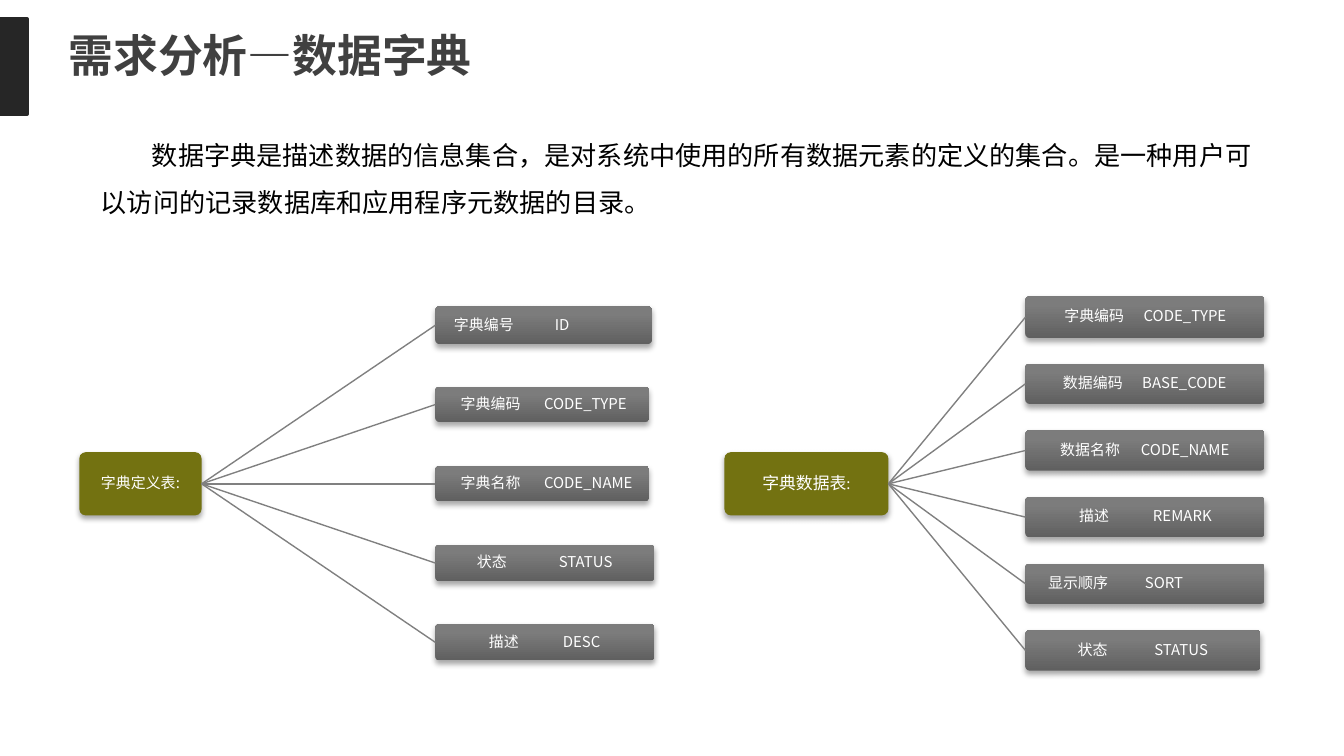
import copy
import pptx
import pptx.dml.color
import pptx.enum.shapes
import pptx.enum.text
import pptx.oxml
import pptx.oxml.ns
import pptx.util

Inches, Pt = pptx.util.Inches, pptx.util.Pt
RGB = pptx.dml.color.RGBColor.from_string
SHAPE = pptx.enum.shapes.MSO_SHAPE
ALIGN = pptx.enum.text.PP_ALIGN
qn = pptx.oxml.ns.qn
NS = pptx.oxml.ns.nsdecls("a")


class Theme:
    font = "Noto Sans CJK SC"
    accent, title, body, white = "262626", "404040", "000000", "FFFFFF"
    root, line = "737211", "808080"
    gradient = [(0, "606060"), (0.8, "7C7C7C"), (1, "7D7D7D")]
    title_size, body_size, root_size, leaf_size = 24, 14, 9, 8


SHADOW = (f'<a:effectLst {NS}><a:outerShdw blurRad="39370" dist="22860" dir="5400000" '
          'rotWithShape="0"><a:srgbClr val="000000"><a:alpha val="35000"/></a:srgbClr>'
          '</a:outerShdw></a:effectLst>')


def write(tf, text, size=Theme.leaf_size, color=Theme.white, bold=False,
          align=ALIGN.LEFT, spacing=0.9, left=0):
    tf.word_wrap = True
    tf.margin_left = Inches(left)
    tf.margin_right = tf.margin_top = tf.margin_bottom = 0
    p = tf.paragraphs[0]
    p.alignment, p.line_spacing = align, spacing
    r = p.add_run()
    r.text = text
    r.font.name, r.font.size, r.font.bold = Theme.font, Pt(size), bold
    r.font.color.rgb = RGB(color)
    r.font._element.append(pptx.oxml.parse_xml(f'<a:ea {NS} typeface="{Theme.font}"/>'))
    return p


def add_node(x, cy, w, h):
    s = sp.add_shape(SHAPE.ROUNDED_RECTANGLE, Inches(x), Inches(cy - h / 2), Inches(w), Inches(h))
    s.adjustments[0] = 0.1
    s.line.fill.background()
    s._element.spPr.append(pptx.oxml.parse_xml(SHADOW))
    s.text_frame.vertical_anchor = pptx.enum.text.MSO_ANCHOR.MIDDLE
    return s


prs = pptx.Presentation()
prs.slide_width = Inches(10)
prs.slide_height = prs.slide_width * 9 // 16
sp = prs.slides.add_slide(prs.slide_layouts[6]).shapes

bar = sp.add_shape(SHAPE.RECTANGLE, 0, Inches(0.14), Inches(0.2), Inches(0.71))
bar.shadow.inherit = False
bar.fill.solid()
bar.fill.fore_color.rgb = bar.line.color.rgb = RGB(Theme.accent)
bar.line.width = Pt(2)

title = sp.add_textbox(Inches(0.51), Inches(0.21), Inches(3.55), Inches(0.4))
write(title.text_frame, "需求分析—数据字典", size=Theme.title_size, color=Theme.title,
      bold=True, spacing=1)

MIDDLE = 3.6
trees = [
    ("字典定义表", Theme.leaf_size, 0.59, 0.91, 3.24, 2.42, 4.78, [
        ("字典编号", "ID", 1.61, 0.28, 3.37, 4.12),
        ("字典编码", "CODE_TYPE", 1.59, 0.26, 3.42, 4.04),
        ("字典名称", "CODE_NAME", 1.59, 0.26, 3.42, 4.04),
        ("状态", "STATUS", 1.63, 0.27, 3.54, 4.15),
        ("描述", "DESC", 1.63, 0.27, 3.63, 4.18)]),
    ("字典数据表", Theme.root_size, 5.39, 1.22, 7.63, 2.36, 4.84, [
        ("字典编码", "CODE_TYPE", 1.78, 0.31, 7.91, 8.5),
        ("数据编码", "BASE_CODE", 1.78, 0.3, 7.9, 8.49),
        ("数据名称", "CODE_NAME", 1.78, 0.3, 7.88, 8.48),
        ("描述", "REMARK", 1.78, 0.3, 8.02, 8.57),
        ("显示顺序", "SORT", 1.78, 0.3, 7.79, 8.51),
        ("状态", "STATUS", 1.75, 0.3, 8.01, 8.58)]),
]

for name, size, root_x, root_w, leaf_x, first, last, fields in trees:
    root = add_node(root_x, MIDDLE, root_w, 0.47)
    root.fill.solid()
    root.fill.fore_color.rgb = RGB(Theme.root)
    write(root.text_frame, name, size=size, align=ALIGN.CENTER)
    write(root.text_frame, ":", align=ALIGN.CENTER)
    pitch = (last - first) / (len(fields) - 1)

    for i, (label, code, w, h, label_x, code_x) in enumerate(fields):
        leaf = add_node(leaf_x, first + i * pitch, w, h)
        leaf.fill.gradient()
        leaf.fill.gradient_angle = 90
        stops = leaf._element.spPr.find(".//" + qn("a:gsLst"))
        stops.append(copy.deepcopy(stops[-1]))
        for stop, (position, color) in zip(leaf.fill.gradient_stops, Theme.gradient):
            stop.position = position
            stop.color.rgb = RGB(color)
        p = write(leaf.text_frame, f"{label}\t{code}", left=label_x - leaf_x)
        p._p.get_or_add_pPr().append(pptx.oxml.parse_xml(
            f'<a:tabLst {NS}><a:tab pos="{Inches(code_x - label_x)}" algn="l"/></a:tabLst>'))

        link = sp.add_connector(pptx.enum.shapes.MSO_CONNECTOR.STRAIGHT, 0, 0, 0, 0)
        link.begin_connect(root, 3)
        link.end_connect(leaf, 1)
        link.line.color.rgb = RGB(Theme.line)
        link.line.width = Pt(0.75)
        link._element.spPr.append(pptx.oxml.parse_xml(f"<a:effectLst {NS}/>"))

intro = sp.add_textbox(Inches(0.75), Inches(0.92), Inches(8.58), Inches(0.67))
p = write(intro.text_frame,
          "数据字典是描述数据的信息集合，是对系统中使用的所有数据元素的定义的集合。"
          "是一种用户可以访问的记录数据库和应用程序元数据的目录。",
          size=Theme.body_size, color=Theme.body, spacing=1.5)
p._p.get_or_add_pPr().set("indent", str(Inches(0.38)))

prs.save("out.pptx")
